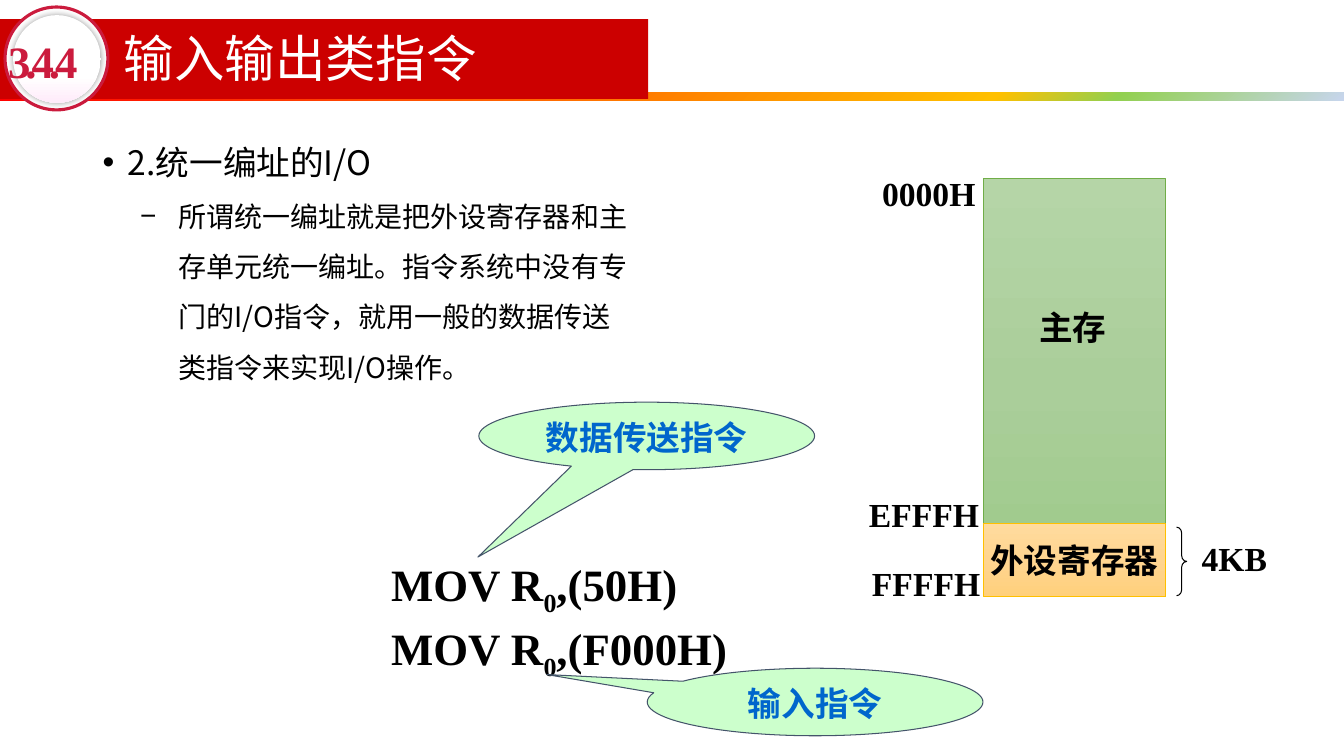
from pptx import Presentation
from pptx.dml.color import RGBColor
from pptx.enum.shapes import MSO_SHAPE as Shape
from pptx.enum.text import MSO_ANCHOR as Anchor, PP_ALIGN as Align
from pptx.oxml import parse_xml
from pptx.oxml.ns import nsdecls, qn
from pptx.util import Inches, Pt
from lxml.etree import SubElement

SANS, SERIF = "Noto Sans CJK SC", "Times New Roman"
BLACK, WHITE = RGBColor(0, 0, 0), RGBColor(255, 255, 255)
BANNER_RED = RGBColor(0xCC, 0, 0)
BADGE_RED = RGBColor(0xCB, 0x1B, 0x3D)
BUBBLE, BUBBLE_EDGE = RGBColor(0xCC, 0xFF, 0xCC), RGBColor(0x44, 0x54, 0x6A)
BUBBLE_TEXT = RGBColor(0, 0x66, 0xCC)
GREEN_EDGE, GOLD_EDGE = RGBColor(0x70, 0xAD, 0x47), RGBColor(0xFF, 0xC0, 0)

RAINBOW = [(0, "FF0000"), (74, "FFC000"), (83, "92D050"), (100, "C7D5ED")]
BADGE_SHINE = [(0, "FFFFFF"), (70, "FFFFFF"), (100, "FFEBFA")]
GREENS = [(0, "B5D5A7"), (50, "AACE9A"), (100, "9CC987")]
GOLDS = [(0, "FFDB9E"), (50, "FFD590"), (100, "FFD07C")]

# Content
WIDTH, HEIGHT = 13.33, 7.5
SECTION, TITLE = "3.4.4", "输入输出类指令"
OUTLINE = [  # text, size, bullet, left margin, hanging indent
    ("2.统一编址的I/O", 24, "•", 0.25, 0.25),
    ("所谓统一编址就是把外设寄存器和主存单元统一编址。指令系统中没有专门的I/O指令，"
     "就用一般的数据传送类指令来实现I/O操作。", 20, "−", 0.75, 0.38),
]
CODE = [("MOV R", "0", ",(50H)"), ("MOV R", "0", ",(F000H)")]
CALLOUTS = [  # text, left, top, pointer position
    ("数据传送指令", 4.75, 3.99, (-0.503, 1.793)),
    ("输入指令", 6.42, 6.63, (-0.799, -0.406)),
]
MAP_LEFT, MAP_TOP, MAP_WIDTH = 9.75, 1.77, 1.81
IO_TOP, MAP_BOTTOM = 5.19, 5.92
MAP_LABELS = [  # text, left, top, width
    ("主存", 10.21, 3, 1.12),
    ("0000H", 8.65, 1.67, 1.58),
    ("FFFFH", 8.55, 5.54, 1.29),
    ("EFFFH", 8.52, 4.85, 1.29),
    ("4KB", 11.82, 5.29, 1.23),
]

deck = Presentation()
deck.slide_width, deck.slide_height = Inches(WIDTH), Inches(HEIGHT)
slide = deck.slides.add_slide(deck.slide_layouts[6])


def add_part(kind, box, fill=None, edge=None, weight=0.75):
    part = slide.shapes.add_shape(kind, *map(Inches, box))
    part.shadow.inherit = False
    if fill is None:
        part.fill.background()
    else:
        part.fill.solid()
        part.fill.fore_color.rgb = fill
    if edge is None:
        part.line.fill.background()
    else:
        part.line.color.rgb, part.line.width = edge, Pt(weight)
    return part


def shade(part, stops, angle):
    marks = "".join(f'<a:gs pos="{at * 1000}"><a:srgbClr val="{tone}"/></a:gs>'
                    for at, tone in stops)
    blend = parse_xml(f'<a:gradFill {nsdecls("a")} rotWithShape="1"><a:gsLst>{marks}'
                      f'</a:gsLst><a:lin ang="{angle * 60000}" scaled="0"/></a:gradFill>')
    props = part._element.spPr
    props.replace(props.find(qn("a:solidFill")), blend)


def add_run(line, words, size, face, color, bold=False, **extras):
    run = line.add_run()
    run.text = words
    look = {"size": Pt(size), "name": face, "bold": bold}
    for key, value in look.items():
        setattr(run.font, key, value)
    run.font.color.rgb = color
    props = run._r.get_or_add_rPr()
    SubElement(props, qn("a:ea")).set("typeface", SANS)
    for key, value in extras.items():
        props.set(key, str(value))


def add_box(box, wrap=True, anchor=Anchor.TOP):
    frame = slide.shapes.add_textbox(*map(Inches, box)).text_frame
    frame.word_wrap, frame.vertical_anchor = wrap, anchor
    return frame


# Header band and round badge
shade(add_part(Shape.RECTANGLE, (0, 0.92, WIDTH, 0.08), WHITE), RAINBOW, 45)
add_part(Shape.RECTANGLE, (0, 0.19, 6.43, 0.79), BANNER_RED)
add_part(Shape.OVAL, (0.05, 0.07, 1.02, 1.02), WHITE, BADGE_RED, 2.25)
badge = add_part(Shape.OVAL, (0.13, 0.15, 0.87, 0.87), WHITE)
badge.rotation = 180
shade(badge, BADGE_SHINE, 270)
glow = SubElement(badge._element.spPr.find(qn("a:effectLst")), qn("a:outerShdw"),
                  blurRad=str(Pt(5)), dist="0", dir="0")
shadow_tone = SubElement(glow, qn("a:srgbClr"), val="000000")
SubElement(shadow_tone, qn("a:alpha"), val="40000")

# Outline text
outline = add_box((0.92, 1.16, 5.51, 5.44))
for i, (words, size, bullet, margin, hang) in enumerate(OUTLINE):
    line = outline.paragraphs[0] if i == 0 else outline.add_paragraph()
    line.line_spacing = 1.5
    props = line._p.get_or_add_pPr()
    props.set("marL", str(Inches(margin)))
    props.set("indent", str(-Inches(hang)))
    SubElement(props, qn("a:buFont"), typeface="Arial")
    SubElement(props, qn("a:buChar"), char=bullet)
    add_run(line, words, size, SANS, BLACK)

# Title and section number
title = add_box((1.13, 0.2, 7.44, 0.82), anchor=Anchor.MIDDLE).paragraphs[0]
title.line_spacing = 0.9
add_run(title, TITLE, 36, SANS, WHITE)
section = add_box((0.08, 0.33, 0.93, 0.54), anchor=Anchor.MIDDLE)
for side in ("left", "right", "top", "bottom"):
    setattr(section, f"margin_{side}", 0)
add_run(section.paragraphs[0], SECTION, 32, SERIF, BADGE_RED, True, spc=-360)

# Memory map
memory = add_part(Shape.RECTANGLE, (MAP_LEFT, MAP_TOP, MAP_WIDTH, MAP_BOTTOM - MAP_TOP),
                  WHITE, GREEN_EDGE, 0.5)
shade(memory, GREENS, 90)
registers = add_part(Shape.RECTANGLE, (MAP_LEFT, IO_TOP, MAP_WIDTH, MAP_BOTTOM - IO_TOP),
                     WHITE, GOLD_EDGE, 0.5)
shade(registers, GOLDS, 90)
registers.text_frame.word_wrap = False
registers.text_frame.vertical_anchor = Anchor.MIDDLE
name = registers.text_frame.paragraphs[0]
name.alignment = Align.CENTER
add_run(name, "外设寄存器", 24, SERIF, BLACK, True)
for words, left, top, width in MAP_LABELS:
    label = add_box((left, top, width, 0.5)).paragraphs[0]
    add_run(label, words, 24, SERIF, BLACK, True)
brace = add_part(Shape.RIGHT_BRACE, (11.67, 5.23, 0.1, 0.68), edge=BLACK)
brace.adjustments[0], brace.adjustments[1] = 0.583, 0.5

# Instructions
code = add_box((3.78, 5.48, 3.58, 1.18), wrap=False)
for i, (start, index, rest) in enumerate(CODE):
    line = code.paragraphs[0] if i == 0 else code.add_paragraph()
    line.line_spacing = 0.9
    if i:
        line.space_before = Pt(6.4)
    for words, base in ((start, 0), (index, -25000), (rest, 0)):
        add_run(line, words, 32, SERIF, BLACK, True, baseline=base)

# Callouts
for words, left, top, pointer in CALLOUTS:
    bubble = add_part(Shape.OVAL_CALLOUT, (left, top, 3.33, 0.67), BUBBLE, BUBBLE_EDGE)
    bubble.adjustments[0], bubble.adjustments[1] = pointer
    bubble.text_frame.word_wrap = True
    bubble.text_frame.vertical_anchor = Anchor.TOP
    line = bubble.text_frame.paragraphs[0]
    line.alignment = Align.CENTER
    add_run(line, words, 24, SERIF, BUBBLE_TEXT, True)

deck.save("out.pptx")
